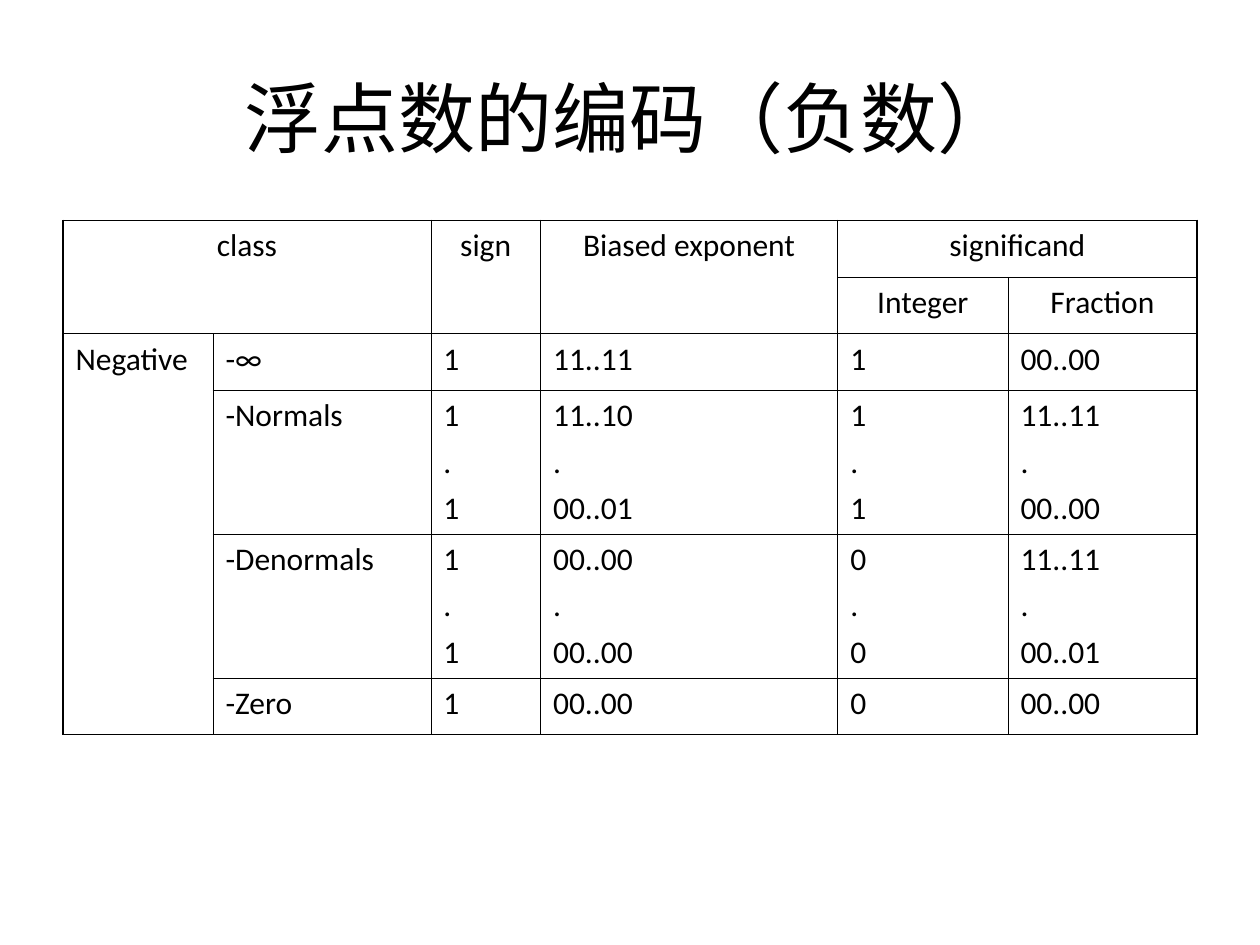
from dataclasses import dataclass

from lxml.etree import SubElement
from pptx import Presentation
from pptx.dml.color import RGBColor
from pptx.enum.text import MSO_ANCHOR, PP_ALIGN
from pptx.oxml.ns import qn
from pptx.util import Inches, Pt


@dataclass(frozen=True)
class Theme:
    """Colours, font and sizes in points."""

    font: str = "Calibri"
    ink: str = "000000"
    title: float = 44
    body: float = 18
    space_before: float = 4.5
    outer_line: float = 1.08
    inner_line: float = 0.45


THEME = Theme()
TITLE = "浮点数的编码（负数）"
TITLE_BOX = (0.5, 0.3, 9, 1.25)
TABLE_BOX = (0.5, 1.75, 9, 4.06)
COLUMN_WIDTHS = (1.19, 1.73, 0.87, 2.36, 1.35, 1.5)
ROW_HEIGHTS = (0.45, 0.45, 0.45, 1.13, 1.13, 0.45)
HEADER_ROWS = 2
ROWS = (
    ("class", "", "sign", "Biased exponent", "significand", ""),
    ("", "", "", "", "Integer", "Fraction"),
    ("Negative", "-∞", "1", "11..11", "1", "00..00"),
    ("", "-Normals", "1\n.\n1", "11..10\n.\n00..01", "1\n.\n1", "11..11\n.\n00..00"),
    ("", "-Denormals", "1\n.\n1", "00..00\n.\n00..00", "0\n.\n0", "11..11\n.\n00..01"),
    ("", "-Zero", "1", "00..00", "0", "00..00"),
)
MERGES = (
    ((0, 0), (1, 1)),
    ((0, 2), (1, 2)),
    ((0, 3), (1, 3)),
    ((0, 4), (0, 5)),
    ((2, 0), (5, 0)),
)


def format_para(para, size, alignment):
    """Give a paragraph its alignment and its spans their font."""
    para.alignment = alignment
    for span in para.runs:
        span.font.name = THEME.font
        span.font.size = Pt(size)
        span.font.color.rgb = RGBColor.from_string(THEME.ink)


def place_title(page, box):
    """Move the title placeholder into the box and fill it."""
    title = page.shapes.title
    title.left, title.top, title.width, title.height = map(Inches, box)
    frame = title.text_frame
    frame.text = TITLE
    frame.vertical_anchor = MSO_ANCHOR.MIDDLE
    format_para(frame.paragraphs[0], THEME.title, PP_ALIGN.CENTER)


def draw_borders(cell, row, column):
    """Rule a cell, with heavier lines on the rim of the table."""
    on_rim = {
        "L": column == 0,
        "R": column + cell.span_width == len(COLUMN_WIDTHS),
        "T": row == 0,
        "B": row + cell.span_height == len(ROW_HEIGHTS),
    }
    properties = cell._tc.get_or_add_tcPr()
    for side, outer in on_rim.items():
        width = THEME.outer_line if outer else THEME.inner_line
        line = SubElement(properties, qn(f"a:ln{side}"), w=str(int(Pt(width))))
        fill = SubElement(line, qn("a:solidFill"))
        SubElement(fill, qn("a:srgbClr"), val=THEME.ink)


def fill_cell(cell, text, alignment):
    """Write the text of one cell."""
    cell.text_frame.text = text
    for para in cell.text_frame.paragraphs:
        para.space_before = Pt(THEME.space_before)
        format_para(para, THEME.body, alignment)


def place_table(page, box):
    """Build the encoding table in the box."""
    left, top, width, height = map(Inches, box)
    table = page.shapes.add_table(len(ROWS), len(ROWS[0]), left, top, width, height).table
    table.first_row = table.horz_banding = False
    for column, share in zip(table.columns, COLUMN_WIDTHS):
        column.width = int(width * share / sum(COLUMN_WIDTHS))
    for row, share in zip(table.rows, ROW_HEIGHTS):
        row.height = int(height * share / sum(ROW_HEIGHTS))
    for first, last in MERGES:
        table.cell(*first).merge(table.cell(*last))
    for row, texts in enumerate(ROWS):
        alignment = PP_ALIGN.CENTER if row < HEADER_ROWS else PP_ALIGN.LEFT
        for column, text in enumerate(texts):
            cell = table.cell(row, column)
            if not cell.is_spanned:
                draw_borders(cell, row, column)
                fill_cell(cell, text, alignment)
            cell.fill.background()


def main():
    """Build the deck and save it."""
    deck = Presentation()
    deck.slide_width, deck.slide_height = Inches(10), Inches(7.5)
    page = deck.slides.add_slide(deck.slide_layouts[5])
    place_title(page, TITLE_BOX)
    place_table(page, TABLE_BOX)
    deck.save("out.pptx")


if __name__ == "__main__":
    main()
